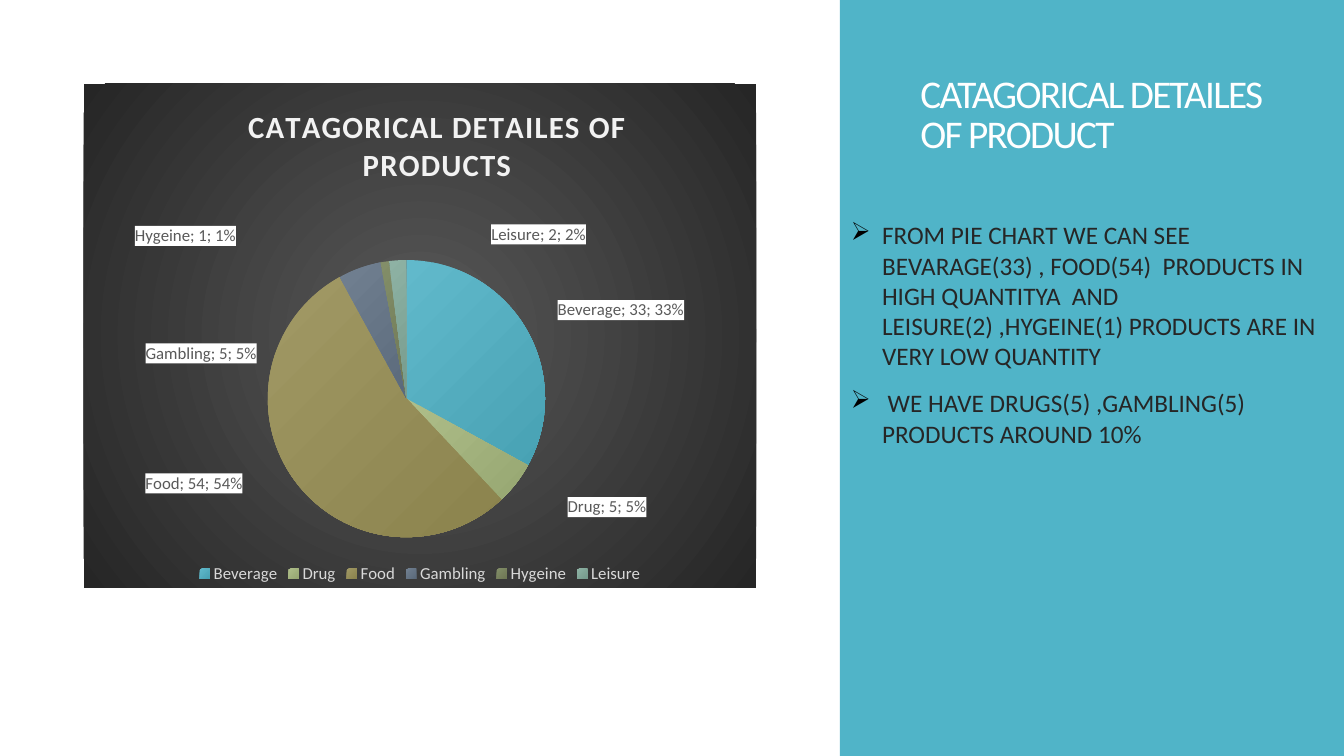
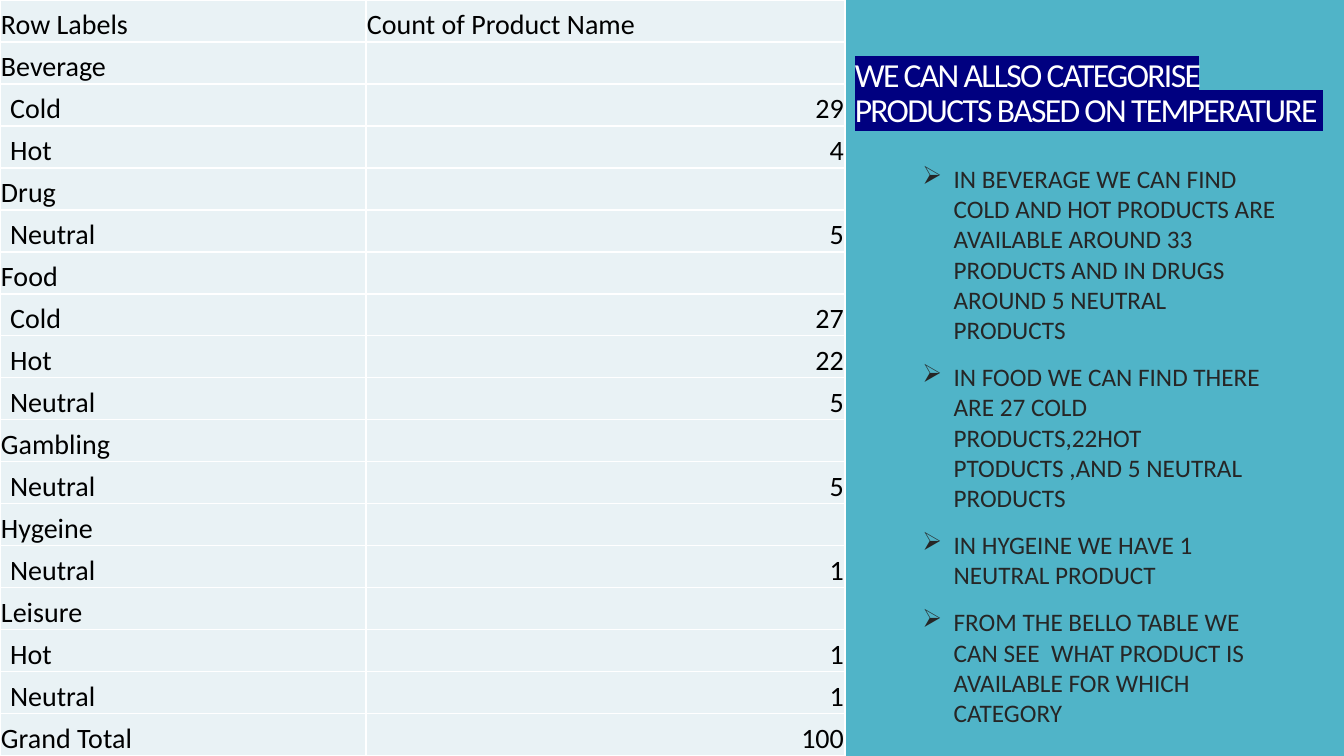
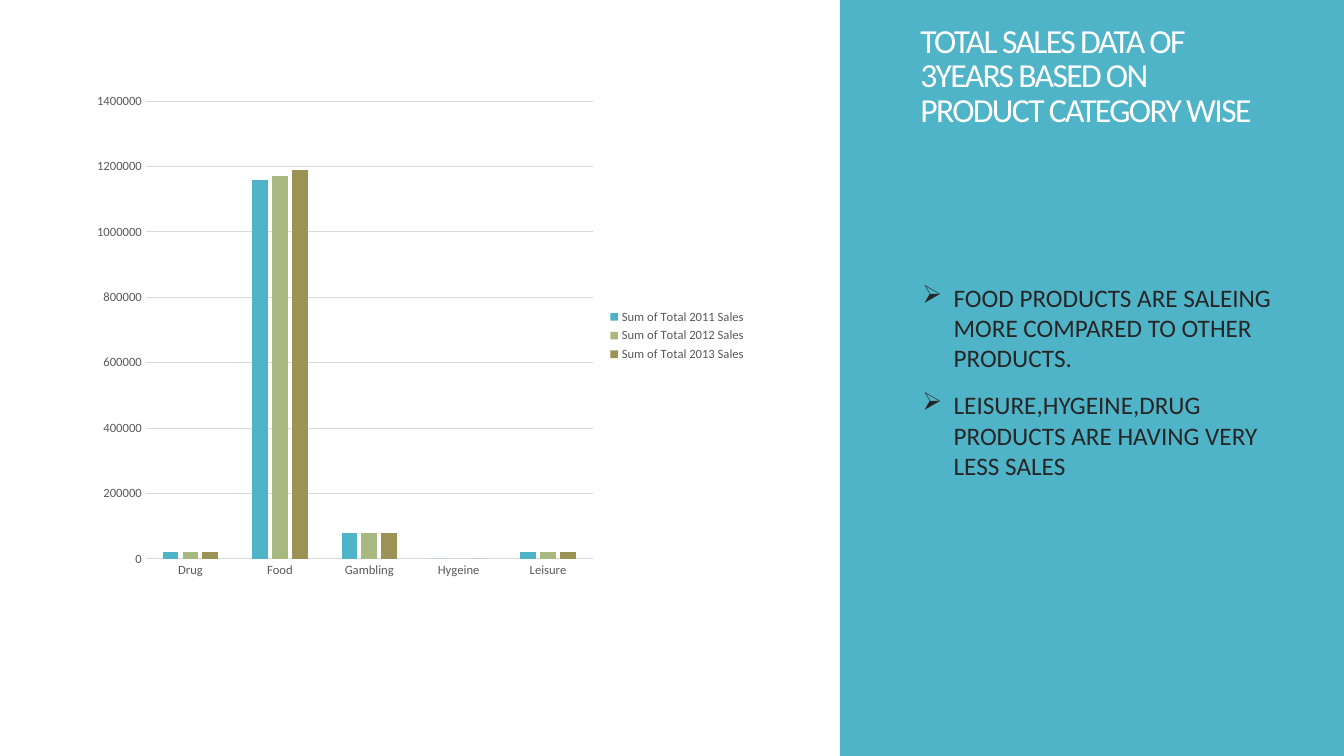
from lxml import etree
from pptx import Presentation
from pptx.chart.data import CategoryChartData
from pptx.dml.color import RGBColor
from pptx.enum.chart import XL_CHART_TYPE, XL_LEGEND_POSITION, XL_TICK_MARK
from pptx.enum.shapes import MSO_SHAPE
from pptx.enum.text import MSO_ANCHOR, PP_ALIGN
from pptx.oxml import parse_xml
from pptx.oxml.ns import nsdecls, qn
from pptx.util import Inches, Pt

PIE, COLUMNS = XL_CHART_TYPE.PIE, XL_CHART_TYPE.COLUMN_CLUSTERED
LEGEND_BOTTOM, LEGEND_RIGHT = XL_LEGEND_POSITION.BOTTOM, XL_LEGEND_POSITION.RIGHT
NO_TICK = XL_TICK_MARK.NONE
RECTANGLE = MSO_SHAPE.RECTANGLE
BOTTOM, RIGHT = MSO_ANCHOR.BOTTOM, PP_ALIGN.RIGHT

FONT = "Calibri"
WHITE = RGBColor(0xFF, 0xFF, 0xFF)
BLACK = RGBColor(0x00, 0x00, 0x00)
TEAL = RGBColor(0x50, 0xB4, 0xC8)
GREEN = RGBColor(0xA8, 0xB9, 0x7F)
OLIVE = RGBColor(0x9B, 0x92, 0x56)
NAVY = RGBColor(0x00, 0x00, 0x80)
INK = RGBColor(0x26, 0x26, 0x26)
GREY = RGBColor(0x59, 0x59, 0x59)
PALE_GREY = RGBColor(0xD9, 0xD9, 0xD9)
OFF_WHITE = RGBColor(0xF2, 0xF2, 0xF2)
CELL = RGBColor(0xE9, 0xF2, 0xF5)

# Category, count, light and dark slice colours, label shift (x, y)
PRODUCTS = [
    ("Beverage", 33, "61B9CB", "48A2B4", (0.04, -0.01)),
    ("Drug", 5, "AEBE89", "97A772", (0.07, 0.02)),
    ("Food", 54, "A19965", "8B834D", (-0.07, -0.02)),
    ("Gambling", 5, "718091", "5B6A7B", (-0.15, 0.2)),
    ("Hygeine", 1, "838E69", "6E7754", (-0.22, -0.02)),
    ("Leisure", 2, "8EB2A4", "769B8D", (0.21, -0.02)),
]

TEMPERATURES = [
    ("Beverage", [("Cold", 29), ("Hot", 4)]),
    ("Drug", [("Neutral", 5)]),
    ("Food", [("Cold", 27), ("Hot", 22), ("Neutral", 5)]),
    ("Gambling", [("Neutral", 5)]),
    ("Hygeine", [("Neutral", 1)]),
    ("Leisure", [("Hot", 1), ("Neutral", 1)]),
]

SALES_CATEGORIES = ["Drug", "Food", "Gambling", "Hygeine", "Leisure"]
SALES = [
    ("Sum of Total 2011 Sales", [20000, 1160000, 80000, 0, 20000], TEAL),
    ("Sum of Total 2012 Sales", [20000, 1170000, 80000, 0, 20000], GREEN),
    ("Sum of Total 2013 Sales", [20000, 1190000, 80000, 0, 20000], OLIVE),
]


def style_font(font, size, color, bold=False):
    font.name = FONT
    font.size = Pt(size)
    font.bold = bold
    font.color.rgb = color


def solid(color):
    return f'<a:solidFill><a:srgbClr val="{color}"/></a:solidFill>'


def layout(x, y, size=None):
    """Manual chart layout in fractions of the chart; size marks the inner plot."""
    values = [("xMode", "edge"), ("yMode", "edge")] if size else []
    values = ([("layoutTarget", "inner")] if size else []) + values
    values += [("x", x), ("y", y)]
    if size:
        values += [("w", size[0]), ("h", size[1])]
    parts = "".join(f'<c:{tag} val="{value}"/>' for tag, value in values)
    return parse_xml(f'<c:layout {nsdecls("c")}><c:manualLayout>{parts}'
                     '</c:manualLayout></c:layout>')


def place(parent, new_layout, after=None):
    """Give a chart part its layout in the position the schema asks for."""
    for old in parent.findall(qn("c:layout")):
        parent.remove(old)
    if after is None:
        parent.insert(0, new_layout)
    else:
        parent.find(qn(after)).addnext(new_layout)


class Deck:
    def __init__(self):
        self.prs = Presentation()
        self.prs.slide_width = Inches(13.33)
        self.prs.slide_height = Inches(7.5)
        self.slide = None

    def new_slide(self):
        self.slide = self.prs.slides.add_slide(self.prs.slide_layouts[6])
        band = self.slide.shapes.add_shape(
            RECTANGLE, Inches(8.33), 0, Inches(5), Inches(7.5))
        band.shadow.inherit = False
        band.fill.solid()
        band.fill.fore_color.rgb = TEAL
        band.line.fill.background()

    def text_frame(self, left, top, width, height):
        box = self.slide.shapes.add_textbox(
            Inches(left), Inches(top), Inches(width), Inches(height))
        box.text_frame.word_wrap = True
        return box.text_frame

    def title(self, text, size=24, left=9.03, width=3.7, bottom=1.33, highlight=None):
        height = 1.2
        frame = self.text_frame(left, bottom - height, width, height)
        frame.vertical_anchor = BOTTOM
        frame.text = text
        heading = frame.paragraphs[0]
        heading.line_spacing = 0.85
        run = heading.runs[0]
        style_font(run.font, size, WHITE)
        properties = run.font._element
        properties.set("spc", "-120")
        if highlight is not None:
            properties.find(qn("a:solidFill")).addnext(parse_xml(
                f'<a:highlight {nsdecls("a")}><a:srgbClr val="{highlight}"/></a:highlight>'))

    def bullets(self, points, top, height, left=9.05, width=3.72, bullet_color=INK):
        frame = self.text_frame(left, top, width, height)
        frame.text = "\n".join(points)
        for number, point in enumerate(frame.paragraphs):
            properties = point._p.get_or_add_pPr()
            properties.set("marL", str(Inches(0.31)))
            properties.set("indent", str(-Inches(0.31)))
            color = etree.SubElement(properties, qn("a:buClr"))
            etree.SubElement(color, qn("a:srgbClr"), val=str(bullet_color))
            etree.SubElement(properties, qn("a:buChar"), char="➢")
            if number:
                point.space_before = Pt(12)
            style_font(point.runs[0].font, 18, INK)

    def table(self, rows, column_widths):
        """Rows are (label, count, is_detail)."""
        table = self.slide.shapes.add_table(
            len(rows), len(column_widths), 0, 0,
            Inches(sum(column_widths)), self.prs.slide_height).table
        table.first_row = table.horz_banding = False
        for column, width in zip(table.columns, column_widths):
            column.width = Inches(width)
        for row, (label, count, is_detail) in enumerate(rows):
            self.cell(table.cell(row, 0), label, 0.1 if is_detail else 0.01)
            self.cell(table.cell(row, 1), str(count), 0.01,
                      RIGHT if isinstance(count, int) else None)

    def cell(self, cell, text, indent, align=None):
        cell.margin_left = Inches(indent)
        cell.margin_right = cell.margin_top = Inches(0.01)
        cell.margin_bottom = 0
        cell.vertical_anchor = BOTTOM
        properties = cell._tc.get_or_add_tcPr()
        for side in "LRTB":
            properties.append(parse_xml(
                f'<a:ln{side} {nsdecls("a")} w="{Pt(1)}">{solid(WHITE)}</a:ln{side}>'))
        cell.fill.solid()
        cell.fill.fore_color.rgb = CELL
        if text:
            cell.text_frame.text = text
            entry = cell.text_frame.paragraphs[0]
            entry.alignment = align
            style_font(entry.runs[0].font, 20, BLACK)

    def chart(self, kind, categories, series, legend_position, legend_size, legend_color):
        data = CategoryChartData()
        data.categories = categories
        for name, values in series:
            data.add_series(name, values)
        chart = self.slide.shapes.add_chart(
            kind, Inches(0.83), Inches(0.83), Inches(6.67), Inches(5), data).chart
        style_font(chart.font, 10, BLACK)
        chart.has_title = False
        chart.has_legend = True
        chart.legend.position = legend_position
        chart.legend.include_in_layout = False
        style_font(chart.legend.font, legend_size, legend_color)
        return chart

    def pie_chart(self, title_lines, products):
        names, counts, lights, darks, shifts = zip(*products)
        chart = self.chart(PIE, names, [("Series 1", counts)],
                           LEGEND_BOTTOM, 12, PALE_GREY)
        # Dark radial background
        chart.element.find(qn("c:chart")).addnext(parse_xml(
            f'<c:spPr {nsdecls("c", "a")}><a:gradFill><a:gsLst>'
            f'<a:gs pos="0"><a:srgbClr val="{GREY}"/></a:gs>'
            f'<a:gs pos="100000"><a:srgbClr val="{INK}"/></a:gs></a:gsLst>'
            '<a:path path="circle"><a:fillToRect l="50000" t="50000" r="50000" b="50000"/>'
            '</a:path></a:gradFill><a:ln><a:noFill/></a:ln></c:spPr>'))
        # Title
        chart.has_title = True
        heading = chart.chart_title.text_frame
        heading.text = "\n".join(title_lines)
        for line in heading.paragraphs:
            style_font(line.runs[0].font, 22, OFF_WHITE, bold=True)
            line.runs[0].font._element.set("spc", "100")
        title_layout = layout(0.24, 0.04)
        for mode in ("yMode", "xMode"):
            title_layout[0].insert(0, title_layout.makeelement(qn(f"c:{mode}"), val="edge"))
        place(chart.chart_title._element, title_layout, after="c:tx")
        place(chart.element.find(".//" + qn("c:plotArea")),
              layout(0.27, 0.35, (0.42, 0.55)))
        # Slices
        plot = chart.plots[0]
        plot.vary_by_categories = True
        pie = plot.series[0]
        for number, ends in enumerate(zip(lights, darks)):
            fill = pie.points[number].format.fill
            fill.gradient()
            fill.gradient_angle = 315
            for stop, color in zip(fill.gradient_stops, ends):
                stop.color.rgb = RGBColor.from_string(color)
        self.slice_labels(pie, shifts)

    def slice_labels(self, pie, shifts):
        look = (f'<c:spPr>{solid(WHITE)}</c:spPr><c:txPr><a:bodyPr/><a:p><a:pPr>'
                f'<a:defRPr sz="1200" b="0">{solid(GREY)}<a:latin typeface="{FONT}"/>'
                '</a:defRPr></a:pPr><a:endParaRPr lang="en-US"/></a:p></c:txPr>'
                '<c:dLblPos val="outEnd"/><c:showLegendKey val="0"/><c:showVal val="1"/>'
                '<c:showCatName val="1"/><c:showSerName val="0"/><c:showPercent val="1"/>'
                '<c:showBubbleSize val="0"/><c:separator>; </c:separator>')
        single = "".join(
            f'<c:dLbl><c:idx val="{number}"/><c:layout><c:manualLayout><c:x val="{x}"/>'
            f'<c:y val="{y}"/></c:manualLayout></c:layout>{look}</c:dLbl>'
            for number, (x, y) in enumerate(shifts))
        pie._element.find(qn("c:cat")).addprevious(parse_xml(
            f'<c:dLbls {nsdecls("c", "a")}>{single}{look}'
            '<c:showLeaderLines val="0"/></c:dLbls>'))

    def column_chart(self, categories, series):
        chart = self.chart(COLUMNS, categories, [entry[:2] for entry in series],
                           LEGEND_RIGHT, 9, GREY)
        plot = chart.plots[0]
        plot.vary_by_categories = False
        plot.gap_width = 219
        plot.overlap = -27
        for columns, (_, _, color) in zip(plot.series, series):
            columns.format.fill.solid()
            columns.format.fill.fore_color.rgb = color
        for axis in (chart.category_axis, chart.value_axis):
            axis.major_tick_mark = axis.minor_tick_mark = NO_TICK
            style_font(axis.tick_labels.font, 9, GREY)
        chart.value_axis.format.line.fill.background()
        for line in (chart.category_axis.format.line,
                     chart.value_axis.major_gridlines.format.line):
            line.color.rgb = PALE_GREY
            line.width = Pt(0.75)


def main():
    deck = Deck()

    # Share of products by category
    deck.new_slide()
    deck.title("CATAGORICAL DETAILES OF PRODUCT", size=28, bottom=1.6)
    deck.bullets([
        "FROM PIE CHART WE CAN SEE BEVARAGE(33) , FOOD(54)  PRODUCTS IN HIGH QUANTITYA  "
        "AND LEISURE(2) ,HYGEINE(1) PRODUCTS ARE IN VERY LOW QUANTITY",
        " WE HAVE DRUGS(5) ,GAMBLING(5) PRODUCTS AROUND 10%",
    ], top=2.13, height=3.08, left=8.34, width=4.92, bullet_color=BLACK)
    deck.pie_chart(["CATAGORICAL DETAILES OF", "PRODUCTS"], PRODUCTS)

    # Products by temperature
    deck.new_slide()
    deck.title("WE CAN ALLSO CATEGORISE PRODUCTS BASED ON TEMPERATURE ",
               left=8.38, width=4.96, highlight=NAVY)
    rows = [("Row Labels", "Count of Product Name", False)]
    for category, details in TEMPERATURES:
        rows.append((category, "", False))
        rows += [(label, count, True) for label, count in details]
    total = sum(count for _, details in TEMPERATURES for _, count in details)
    rows.append(("Grand Total", total, False))
    deck.table(rows, [3.63, 4.75])
    deck.bullets([
        "IN BEVERAGE WE CAN FIND COLD AND HOT PRODUCTS ARE AVAILABLE AROUND 33 PRODUCTS "
        "AND IN DRUGS AROUND 5 NEUTRAL PRODUCTS",
        "IN FOOD WE CAN FIND THERE ARE 27 COLD PRODUCTS,22HOT PTODUCTS ,AND 5 NEUTRAL "
        "PRODUCTS",
        "IN HYGEINE WE HAVE 1 NEUTRAL PRODUCT",
        "FROM THE BELLO TABLE WE CAN SEE  WHAT PRODUCT IS AVAILABLE FOR WHICH CATEGORY",
    ], top=1.57, height=5.79)

    # Sales over three years
    deck.new_slide()
    deck.title("TOTAL SALES DATA OF 3YEARS BASED ON PRODUCT CATEGORY WISE")
    deck.bullets([
        "FOOD PRODUCTS ARE SALEING MORE COMPARED TO OTHER PRODUCTS.",
        "LEISURE,HYGEINE,DRUG PRODUCTS ARE HAVING VERY LESS SALES",
    ], top=2.75, height=3.42)
    deck.column_chart(SALES_CATEGORIES, SALES)

    deck.prs.save("out.pptx")


if __name__ == "__main__":
    main()
